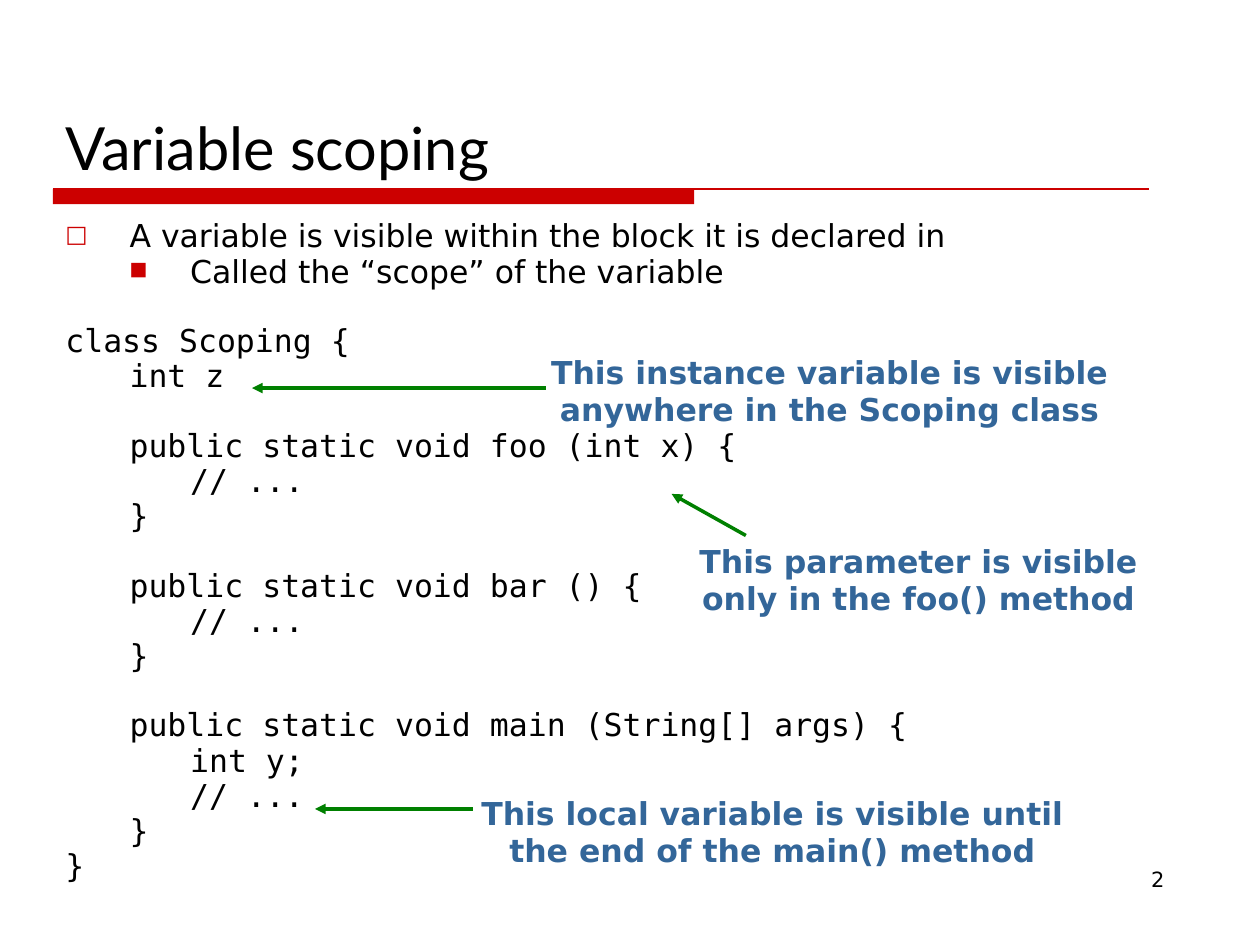
from lxml import etree
from pptx import Presentation
from pptx.dml.color import RGBColor
from pptx.enum.shapes import MSO_CONNECTOR, MSO_SHAPE
from pptx.enum.text import MSO_ANCHOR, PP_ALIGN
from pptx.oxml.ns import qn
from pptx.util import Inches, Pt

LEFT, CENTER, RIGHT = PP_ALIGN.LEFT, PP_ALIGN.CENTER, PP_ALIGN.RIGHT
JUSTIFY = PP_ALIGN.JUSTIFY
BOTTOM = MSO_ANCHOR.BOTTOM
STRAIGHT = MSO_CONNECTOR.STRAIGHT
RECTANGLE = MSO_SHAPE.RECTANGLE

COLORS = {"text": "000000", "accent": "CC0000", "arrow": "008000", "note": "336699"}
TITLE_FONT, BODY_FONT, CODE_FONT = "Lato", "DejaVu Sans", "DejaVu Sans Mono"

TITLE = "Variable scoping"
SLIDE_NUMBER = "2"
BULLETS = [
    (0, "□", 75, "A variable is visible within the block it is declared in"),
    (1, "■", 60, "Called the “scope” of the variable"),
]
CODE_BLOCKS = [
    [(0, "class Scoping {"), (1, "int z")],
    [(1, "public static void foo (int x) {"), (2, "// ..."), (1, "}")],
    [(1, "public static void bar () {"), (2, "// ..."), (1, "}")],
    [
        (1, "public static void main (String[] args) {"),
        (2, "int y;"),
        (2, "// ..."),
        (1, "}"),
        (0, "}"),
    ],
]
NOTES = [
    ("This local variable is visible until the end of the main() method",
     (3.67, 6.25, 4.92, 0.7)),
    ("This instance variable is visible anywhere in the Scoping class",
     (4.25, 2.75, 4.67, 0.7)),
    ("This parameter is visible only in the foo() method",
     (5.25, 4.25, 4.08, 0.7)),
]
ARROWS = [(4.33, 3.08, 2, 3.08), (5.92, 4.25, 5.33, 3.92), (3.75, 6.42, 2.5, 6.42)]

INDENTS = [0, 0.51, 0.99]
LINE_SPACING = 0.7
LINE_GAP = 5
BLOCK_GAP = 24.6


def color(name):
    return RGBColor.from_string(COLORS[name])


def add_run(paragraph, text, size, font, color_name="text", bold=False):
    run = paragraph.add_run()
    run.text = text
    run.font.size = Pt(size)
    run.font.name = font
    run.font.bold = bold
    run.font.color.rgb = color(color_name)


def add_text_box(slide, box):
    shape = slide.shapes.add_textbox(*map(Inches, box))
    shape.text_frame.word_wrap = True
    return shape.text_frame


def add_line(slide, ends, width, color_name):
    line = slide.shapes.add_connector(STRAIGHT, *map(Inches, ends))
    line.line.width = Pt(width)
    line.line.color.rgb = color(color_name)
    etree.SubElement(line._element.spPr, qn("a:effectLst"))
    return line


def add_arrow(slide, ends):
    arrow = add_line(slide, ends, 2, "arrow")
    etree.SubElement(arrow.line._get_or_add_ln(), qn("a:tailEnd"), type="triangle")


def format_line(paragraph, margin, hanging, gap):
    paragraph.alignment = JUSTIFY
    paragraph.line_spacing = LINE_SPACING
    paragraph.space_before = Pt(gap)
    properties = paragraph._p.get_or_add_pPr()
    properties.set("marL", str(Inches(margin)))
    properties.set("indent", str(-Inches(hanging)))
    return properties


def add_bullet(properties, character, percent):
    bullet_color = etree.SubElement(properties, qn("a:buClr"))
    etree.SubElement(bullet_color, qn("a:srgbClr"), val=COLORS["accent"])
    etree.SubElement(properties, qn("a:buSzPct"), val=str(percent * 1000))
    etree.SubElement(properties, qn("a:buFont"), typeface=BODY_FONT)
    etree.SubElement(properties, qn("a:buChar"), char=character)


def add_title(slide):
    title = slide.shapes.title
    title.left, title.top, title.width, title.height = map(Inches, (0.42, 0.17, 9, 1.33))
    title.text_frame.vertical_anchor = BOTTOM
    paragraph = title.text_frame.paragraphs[0]
    paragraph.alignment = LEFT
    add_run(paragraph, TITLE, 34, TITLE_FONT)


def add_rule(slide):
    bar = slide.shapes.add_shape(RECTANGLE, *map(Inches, (0.42, 1.5, 5.09, 0.12)))
    bar.shadow.inherit = False
    bar.fill.solid()
    bar.fill.fore_color.rgb = color("accent")
    bar.line.fill.background()
    add_line(slide, (0.42, 1.5, 9.12, 1.5), 0.75, "accent")


def add_body(slide):
    frame = add_text_box(slide, (0.42, 1.75, 9.42, 5.75))
    for index, (level, character, percent, text) in enumerate(BULLETS):
        paragraph = frame.add_paragraph() if index else frame.paragraphs[0]
        hanging = INDENTS[level + 1] - INDENTS[level]
        properties = format_line(paragraph, INDENTS[level + 1], hanging, LINE_GAP)
        add_bullet(properties, character, percent)
        add_run(paragraph, text, 18, BODY_FONT)
    for block in CODE_BLOCKS:
        for index, (level, text) in enumerate(block):
            paragraph = frame.add_paragraph()
            format_line(paragraph, INDENTS[level], 0, LINE_GAP if index else BLOCK_GAP)
            add_run(paragraph, text, 18, CODE_FONT)


def add_label(slide, text, box, alignment, size, color_name, bold):
    paragraph = add_text_box(slide, box).paragraphs[0]
    paragraph.alignment = alignment
    add_run(paragraph, text, size, BODY_FONT, color_name, bold)


def main():
    presentation = Presentation()
    presentation.slide_width, presentation.slide_height = Inches(10), Inches(7.5)
    slide = presentation.slides.add_slide(presentation.slide_layouts[5])
    add_rule(slide)
    add_label(slide, SLIDE_NUMBER, (7.17, 6.83, 2.17, 0.52), RIGHT, 12, "text", False)
    add_title(slide)
    add_body(slide)
    for ends in ARROWS:
        add_arrow(slide, ends)
    for text, box in NOTES:
        add_label(slide, text, box, CENTER, 18, "note", True)
    presentation.save("out.pptx")


if __name__ == "__main__":
    main()
